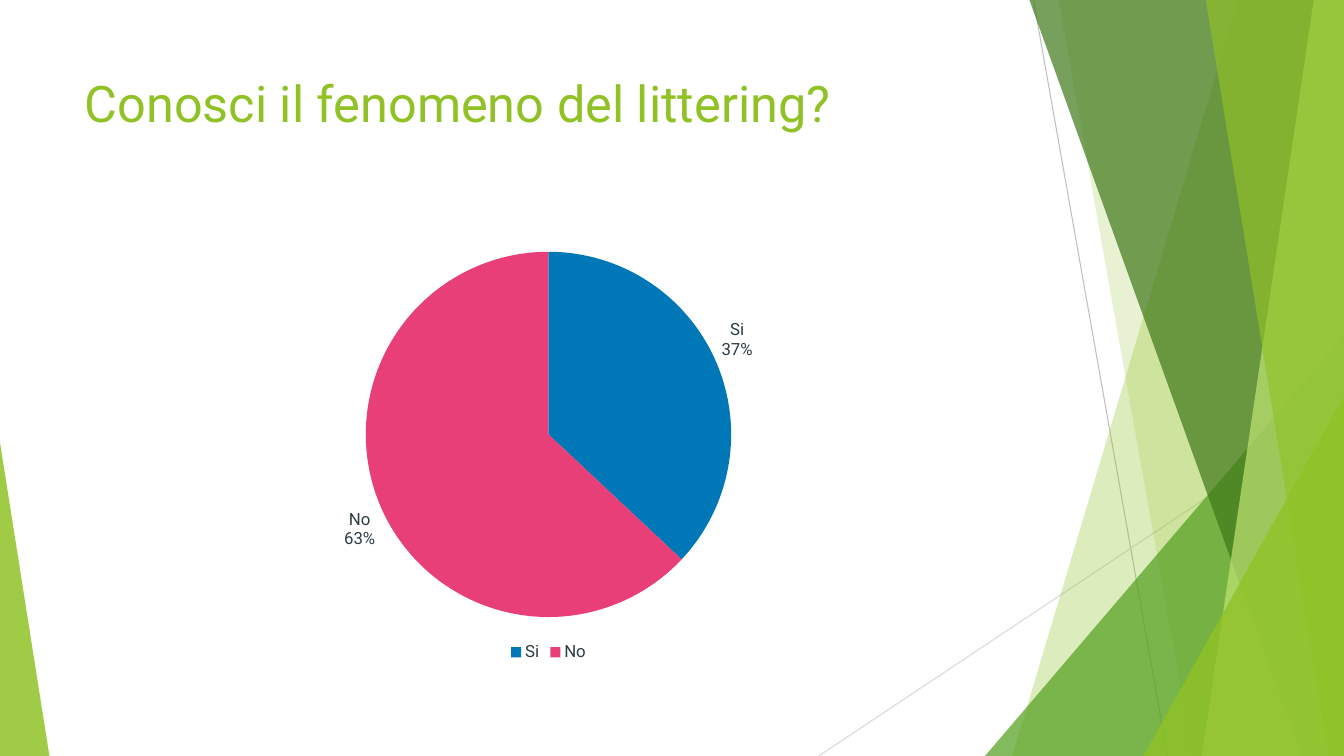
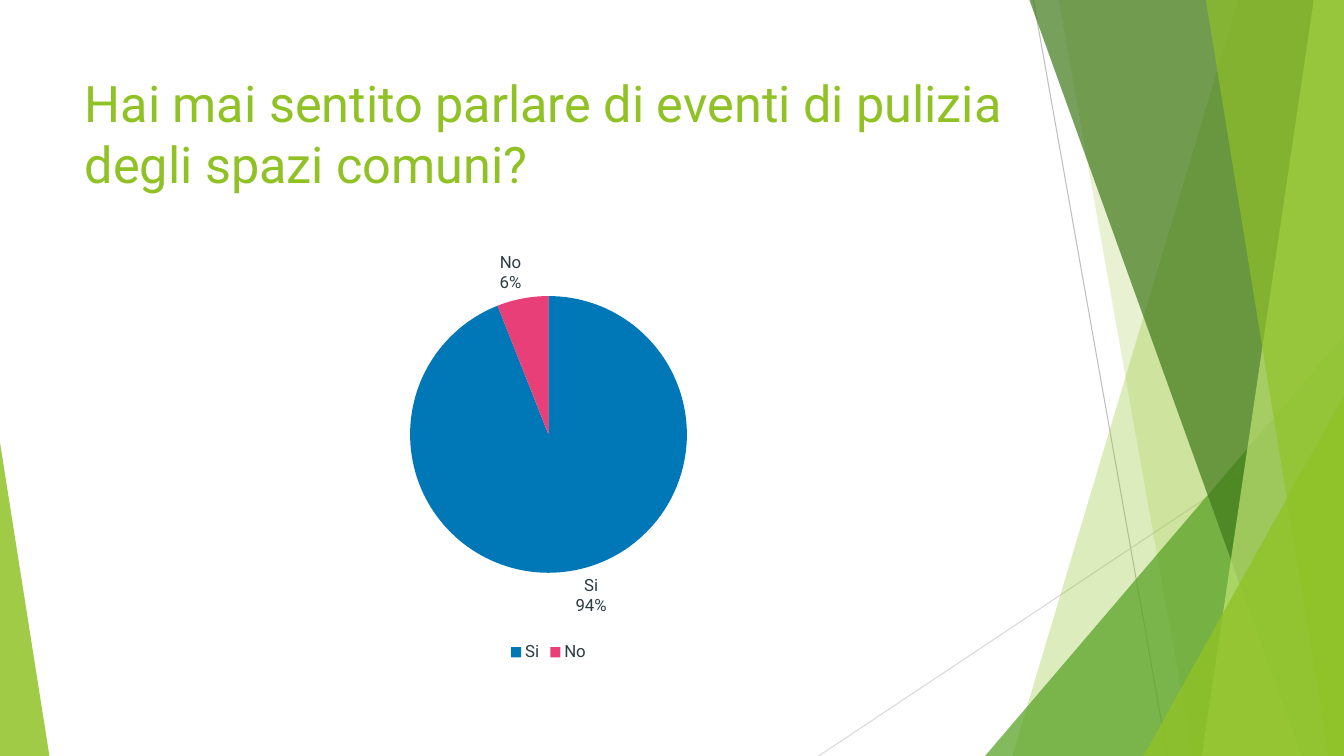
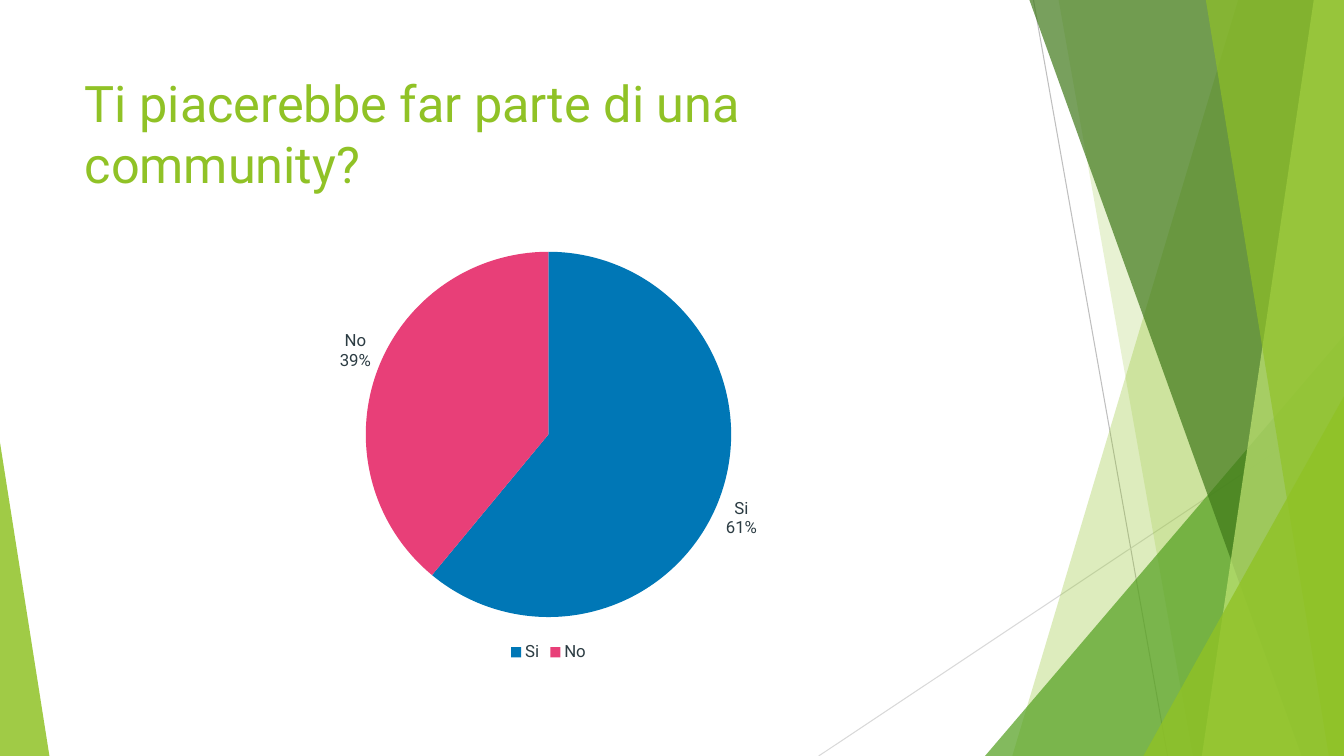
from lxml import etree
from pptx import Presentation
from pptx.chart.data import CategoryChartData
from pptx.dml.color import RGBColor
from pptx.enum.chart import XL_CHART_TYPE, XL_LABEL_POSITION, XL_LEGEND_POSITION
from pptx.enum.shapes import MSO_CONNECTOR, MSO_SHAPE
from pptx.enum.text import MSO_ANCHOR, MSO_AUTO_SIZE, PP_ALIGN
from pptx.oxml.ns import qn
from pptx.util import Inches, Pt

PIE = XL_CHART_TYPE.PIE
OUTSIDE = XL_LABEL_POSITION.OUTSIDE_END
BOTTOM = XL_LEGEND_POSITION.BOTTOM
STRAIGHT = MSO_CONNECTOR.STRAIGHT
TRIANGLE = MSO_SHAPE.ISOSCELES_TRIANGLE
TOP = MSO_ANCHOR.TOP
FIXED = MSO_AUTO_SIZE.NONE
LEFT = PP_ALIGN.LEFT

FONT = "Roboto"
WIDTH, HEIGHT = 13.33, 7.5
COLORS = {
    "lime": "90C226",
    "green": "54A021",
    "forest": "3F7819",
    "pale": "C0E474",
    "gray": "BFBFBF",
    "light_gray": "D9D9D9",
    "black": "000000",
    "slate": "2C3C43",
    "blue": "0077B6",
    "pink": "E83F78",
}
ANSWERS = {"Si": "blue", "No": "pink"}
SURVEY = [
    ("Conosci il fenomeno del littering?", (37, 63)),
    ("Hai mai sentito parlare di eventi di pulizia degli spazi comuni?", (94, 6)),
    ("Ti piacerebbe far parte di una community?", (61, 39)),
]


def color(name):
    return RGBColor.from_string(COLORS[name])


def style_font(font, size, tint):
    font.name = FONT
    font.size = Pt(size)
    font.color.rgb = color(tint)


def write(frame, text, size=12, tint="slate", align=LEFT, anchor=TOP):
    frame.word_wrap = True
    frame.auto_size = FIXED
    frame.vertical_anchor = anchor
    paragraph = frame.paragraphs[0]
    paragraph.alignment = align
    span = paragraph.add_run()
    span.text = text
    style_font(span.font, size, tint)


class SurveyDeck:
    def __init__(self):
        self.deck = Presentation()
        self.deck.slide_width = Inches(WIDTH)
        self.deck.slide_height = Inches(HEIGHT)
        self.layout = self.deck.slide_layouts[5]
        self.page = None

    def new_page(self):
        self.page = self.deck.slides.add_slide(self.layout)

    def share(self, shape):
        self.layout.shapes.element.append(shape.element)

    def paint(self, shape, tint, opacity):
        shape.shadow.inherit = False
        shape.fill.solid()
        shape.fill.fore_color.rgb = color(tint)
        shape.line.fill.background()
        for node in shape.element.spPr.iter(qn("a:srgbClr")):
            etree.SubElement(node, qn("a:alpha"), val=str(opacity * 1000))
        self.share(shape)

    def line(self, start, end, tint):
        points = [Inches(value) for value in (*start, *end)]
        connector = self.page.shapes.add_connector(STRAIGHT, *points)
        connector.line.color.rgb = color(tint)
        connector.line.width = Pt(0.75)
        etree.SubElement(connector.element.spPr, qn("a:effectLst"))
        self.share(connector)

    def band(self, top_x, bottom_x, tint, opacity):
        corners = [(WIDTH, 0), (WIDTH, HEIGHT), (bottom_x, HEIGHT)]
        outline = self.page.shapes.build_freeform(Inches(top_x), 0)
        outline.add_line_segments([(Inches(x), Inches(y)) for x, y in corners])
        self.paint(outline.convert_to_shape(), tint, opacity)

    def triangle(self, left, top, width, peak, tint, opacity):
        shape = self.page.shapes.add_shape(
            TRIANGLE, Inches(left), Inches(top), Inches(width), Inches(HEIGHT - top)
        )
        shape.adjustments[0] = peak
        self.paint(shape, tint, opacity)

    def decorate(self):
        self.line((10.25, 0), (11.58, HEIGHT), "gray")
        self.line((WIDTH, 4.03), (8.12, HEIGHT), "light_gray")
        self.band(12.28, 10.04, "lime", 30)
        self.band(10.5, 11.83, "lime", 20)
        self.triangle(9.77, 3.33, 3.56, 1, "green", 72)
        self.band(10.21, 12.91, "forest", 70)
        self.band(13.03, 11.92, "pale", 70)
        self.band(11.96, 13.18, "lime", 65)
        self.triangle(11.34, 3.93, 1.99, 1, "lime", 80)
        self.triangle(0, 4.39, 0.49, 0, "lime", 85)

    def title(self, text):
        box = self.page.shapes.title
        box.left, box.top = Inches(0.74), Inches(0.67)
        box.width, box.height = Inches(9.4), Inches(1.44)
        write(box.text_frame, text, size=36, tint="lime")

    def pie(self, values):
        data = CategoryChartData()
        data.categories = list(ANSWERS)
        data.add_series("Series 1", values)
        chart = self.page.shapes.add_chart(
            PIE, Inches(0.74), Inches(2.36), Inches(9.4), Inches(4.25), data
        ).chart
        style_font(chart.font, 10, "black")
        chart.has_title = False
        chart.has_legend = True
        chart.legend.position = BOTTOM
        chart.legend.include_in_layout = False
        style_font(chart.legend.font, 12, "slate")
        plot = chart.plots[0]
        plot.vary_by_categories = True
        series = plot.series[0]
        for index, tint in enumerate(ANSWERS.values()):
            fill = series.points[index].format.fill
            fill.solid()
            fill.fore_color.rgb = color(tint)
        labels = series.data_labels
        labels.show_value = False
        labels.show_category_name = True
        labels.show_percentage = True
        labels.number_format = "0%"
        labels.number_format_is_linked = False
        labels.position = OUTSIDE
        style_font(labels.font, 12, "slate")
        for node in chart.element.iter(qn("c:showBubbleSize")):
            separator = etree.Element(qn("c:separator"))
            separator.text = "\n"
            node.addnext(separator)


def main():
    survey = SurveyDeck()
    for number, (question, values) in enumerate(SURVEY):
        survey.new_page()
        if number == 0:
            survey.decorate()
        survey.title(question)
        survey.pie(values)
    survey.deck.save("out.pptx")


if __name__ == "__main__":
    main()
